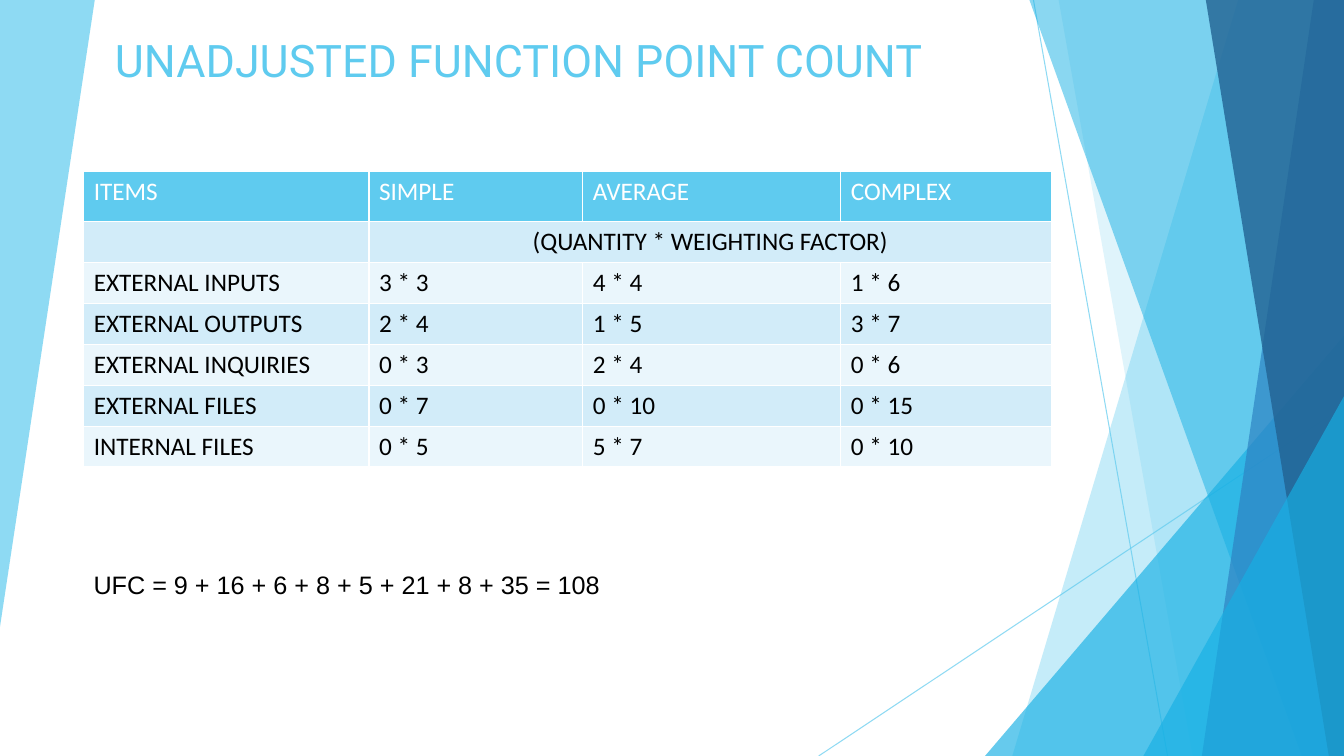
from lxml import etree
from pptx import Presentation
from pptx.dml.color import RGBColor
from pptx.enum.shapes import MSO_CONNECTOR, MSO_SHAPE
from pptx.enum.text import MSO_ANCHOR, PP_ALIGN
from pptx.oxml.ns import qn
from pptx.util import Inches, Pt

LINE = MSO_CONNECTOR.STRAIGHT
TRIANGLE = MSO_SHAPE.ISOSCELES_TRIANGLE
BOTTOM = MSO_ANCHOR.BOTTOM
CENTER = PP_ALIGN.CENTER

SKY = RGBColor(0x5F, 0xCB, 0xEF)
CYAN = RGBColor(0x17, 0xB0, 0xE4)
BLUE = RGBColor(0x2E, 0x83, 0xC3)
NAVY = RGBColor(0x22, 0x62, 0x92)
DARK = RGBColor(0xD2, 0xEC, 0xF9)
PALE = RGBColor(0xEA, 0xF6, 0xFC)
WHITE = RGBColor(0xFF, 0xFF, 0xFF)
BLACK = RGBColor(0, 0, 0)

WIDE, HIGH = 13.33, 7.5
TITLE = "UNADJUSTED FUNCTION POINT COUNT"
TOTAL = "UFC = 9 + 16 + 6 + 8 + 5 + 21 + 8 + 35 = 108"
ROWS = [
    ("ITEMS", "SIMPLE", "AVERAGE", "COMPLEX"),
    ("", "(QUANTITY * WEIGHTING FACTOR)", "", ""),
    ("EXTERNAL INPUTS", "3 * 3", "4 * 4", "1 * 6"),
    ("EXTERNAL OUTPUTS", "2 * 4", "1 * 5", "3 * 7"),
    ("EXTERNAL INQUIRIES", "0 * 3", "2 * 4", "0 * 6"),
    ("EXTERNAL FILES", "0 * 7", "0 * 10", "0 * 15"),
    ("INTERNAL FILES", "0 * 5", "5 * 7", "0 * 10"),
]
COLS = (2.83, 2.12, 2.56, 2.09)
HEAD, BODY = 0.5, 0.405
RAYS = [(10.25, 0, 11.58, HIGH), (WIDE, 4.03, 8.12, HIGH)]
# Each band runs from its top-left and bottom-left corners to the right edge.
BACK = [(12.28, 10.04, SKY, 36), (10.5, 11.83, SKY, 20)]
FRONT = [(10.21, 12.91, CYAN, 50), (13.03, 11.92, BLUE, 70),
         (11.96, 13.18, NAVY, 80)]


def fade(paint, alpha):
    """Set the opacity of a solid fill, in percent."""
    color = paint.find(".//" + qn("a:srgbClr"))
    etree.SubElement(color, qn("a:alpha"), val=str(alpha * 1000))


def tint(shape, color, alpha):
    """Give a shape a see-through fill and no outline."""
    shape.shadow.inherit = False
    shape.fill.solid()
    shape.fill.fore_color.rgb = color
    shape.line.fill.background()
    fade(shape._element.spPr, alpha)


def facet(shapes, points, color, alpha):
    """Draw a filled polygon."""
    spots = [(Inches(x), Inches(y)) for x, y in points]
    pen = shapes.build_freeform(*spots[0])
    pen.add_line_segments(spots[1:], close=True)
    tint(pen.convert_to_shape(), color, alpha)


def band(shapes, top, foot, color, alpha):
    """Draw a slanted band that ends at the right edge."""
    facet(shapes, [(top, 0), (WIDE, 0), (WIDE, HIGH), (foot, HIGH)],
          color, alpha)


def corner(shapes, left, top):
    """Draw a right triangle in the bottom right corner."""
    shape = shapes.add_shape(TRIANGLE, Inches(left), Inches(top),
                             Inches(WIDE - left), Inches(HIGH - top))
    shape.adjustments[0] = 1
    tint(shape, CYAN, 66)


def ray(shapes, ends):
    """Draw a thin see-through line."""
    line = shapes.add_connector(LINE, *map(Inches, ends))
    line.line.color.rgb = SKY
    line.line.width = Pt(0.75)
    props = line._element.spPr
    fade(props, 70)
    etree.SubElement(props, qn("a:effectLst"))


def style(para, size, font, color, bold=False):
    """Format the runs of a paragraph."""
    for run in para.runs:
        run.font.size = Pt(size)
        run.font.name = font
        run.font.color.rgb = color
        run.font.bold = bold


def backdrop(shapes):
    """Draw the facets at both sides of the slide."""
    facet(shapes, [(0, 0), (0.94, 0), (0, 6.22)], SKY, 70)
    for ends in RAYS:
        ray(shapes, ends)
    for item in BACK:
        band(shapes, *item)
    corner(shapes, 9.77, 3.33)
    for item in FRONT:
        band(shapes, *item)
    corner(shapes, 11.34, 3.93)


def grid(shapes):
    """Add the table of function point counts."""
    tall = HEAD + BODY * (len(ROWS) - 1)
    table = shapes.add_table(len(ROWS), len(COLS), Inches(0.83), Inches(1.7),
                             Inches(sum(COLS)), Inches(tall)).table
    for col, width in zip(table.columns, COLS):
        col.width = Inches(width)
    for r, row in enumerate(ROWS):
        table.rows[r].height = Inches(BODY if r else HEAD)
        shade = (DARK if r % 2 else PALE) if r else SKY
        for c, text in enumerate(row):
            cell = table.cell(r, c)
            cell.fill.solid()
            cell.fill.fore_color.rgb = shade
            para = cell.text_frame.paragraphs[0]
            para.font.size = Pt(18)
            if text:
                cell.text_frame.text = text
                style(para, 18, "Roboto", BLACK if r else WHITE, not r)
    table.cell(1, 1).merge(table.cell(1, 3))
    table.cell(1, 1).text_frame.paragraphs[0].alignment = CENTER


def main():
    """Build the slide and save it."""
    deck = Presentation()
    deck.slide_width, deck.slide_height = Inches(WIDE), Inches(HIGH)
    slide = deck.slides.add_slide(deck.slide_layouts[5])
    shapes = slide.shapes
    backdrop(shapes)

    title = shapes.title
    title.left, title.top = Inches(1.04), Inches(0.31)
    title.width, title.height = Inches(8.49), Inches(0.6)
    frame = title.text_frame
    frame.text = TITLE
    frame.vertical_anchor = BOTTOM
    frame.paragraphs[0].alignment = PP_ALIGN.LEFT
    style(frame.paragraphs[0], 32, "Roboto", SKY)

    grid(shapes)

    note = shapes.add_textbox(Inches(0.83), Inches(5.6),
                              Inches(6.67), Inches(0.4)).text_frame
    note.word_wrap = True
    note.text = TOTAL
    style(note.paragraphs[0], 18, "Arial", BLACK)
    deck.save("out.pptx")


if __name__ == "__main__":
    main()
